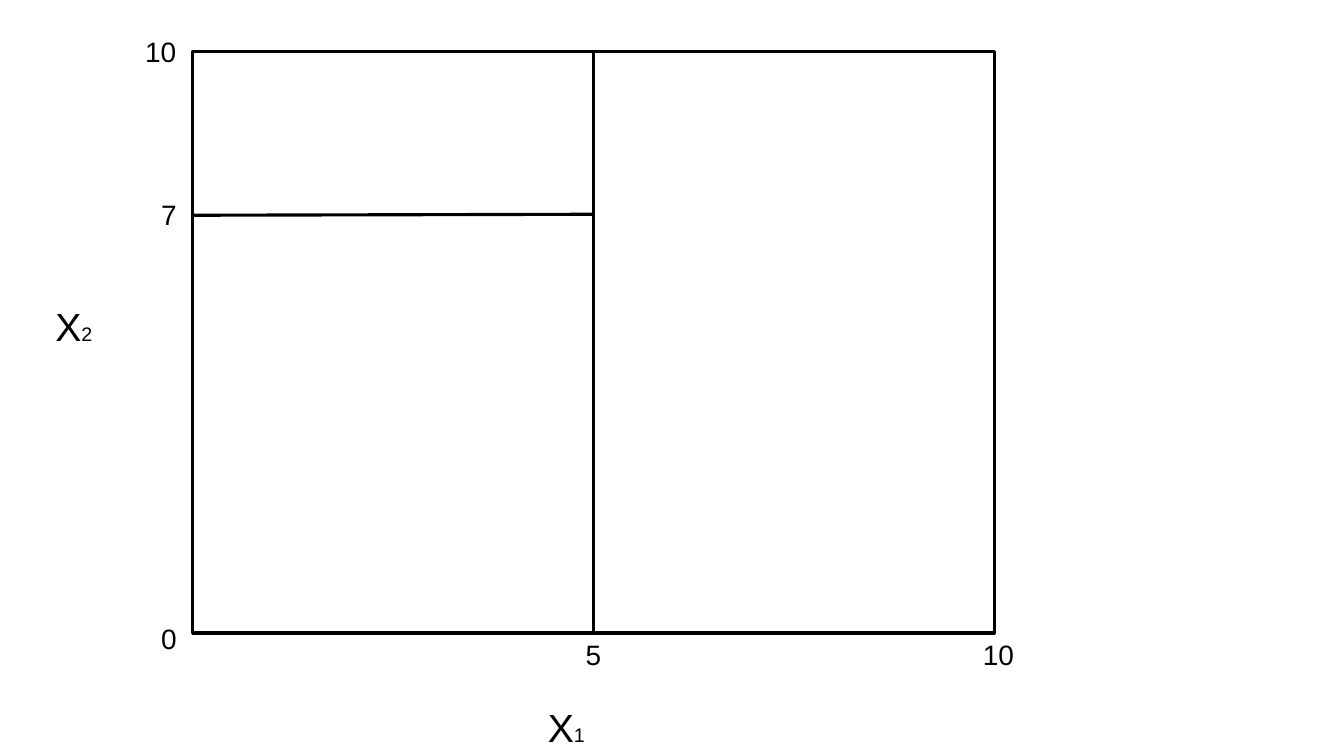
from lxml.etree import SubElement
from pptx import Presentation
from pptx.dml.color import RGBColor
from pptx.enum.shapes import MSO_CONNECTOR, MSO_SHAPE
from pptx.oxml.ns import qn
from pptx.util import Inches, Pt

COLORS = {"ink": "000000"}
FONT = "Arial"
BORDER = 2.25
TICK_SIZE = 20
NAME_SIZE = 28
INDEX_SIZE = 14
TICK_HEIGHT = 0.44
NAME_BOX = (0.58, 0.57)
TICK_WIDTHS = {1: 0.35, 2: 0.58}


def ink():
    return RGBColor.from_string(COLORS["ink"])


def style_line(line):
    line.color.rgb = ink()
    line.width = Pt(BORDER)


def add_label(slide, box, runs):
    label = slide.shapes.add_textbox(*map(Inches, box))
    frame = label.text_frame
    frame.word_wrap = True
    frame.margin_right = 0
    for text, size in runs:
        run = frame.paragraphs[0].add_run()
        run.text = text
        run.font.name = FONT
        run.font.size = Pt(size)
        run.font.color.rgb = ink()


def add_tick(slide, value, left, top):
    width = TICK_WIDTHS[len(value)]
    add_label(slide, (left, top, width, TICK_HEIGHT), [(value, TICK_SIZE)])


def add_axis_name(slide, index, left, top):
    add_label(slide, (left, top, *NAME_BOX), [("X", NAME_SIZE), (index, INDEX_SIZE)])


def add_split(slide, start, end):
    split = slide.shapes.add_connector(
        MSO_CONNECTOR.STRAIGHT, *map(Inches, (*start, *end)))
    style_line(split.line)
    SubElement(split._element.spPr, qn("a:effectLst"))


def draw_feature_space(slide, box):
    left, top, width, height = box
    bottom = top + height
    middle = left + width / 2
    threshold = top + height * 0.28

    space = slide.shapes.add_shape(MSO_SHAPE.RECTANGLE, *map(Inches, box))
    space.shadow.inherit = False
    space.fill.background()
    style_line(space.line)
    add_split(slide, (middle, top), (middle, bottom))
    add_split(slide, (middle, threshold), (left, threshold + 0.01))

    half_tick = TICK_HEIGHT / 2
    add_tick(slide, "10", left - 0.57, top - half_tick)
    add_tick(slide, "7", left - 0.41, threshold - half_tick)
    add_tick(slide, "0", left - 0.41, bottom - 0.16)
    add_tick(slide, "5", middle - TICK_WIDTHS[1] / 2, bottom)
    add_tick(slide, "10", left + width - 0.21, bottom)

    add_axis_name(slide, "2", left - 1.46, top + 2.44)
    add_axis_name(slide, "1", middle - 0.55, bottom + 0.65)


def main():
    deck = Presentation()
    deck.slide_width = Inches(13.33)
    deck.slide_height = Inches(7.5)
    slide = deck.slides.add_slide(deck.slide_layouts[6])
    draw_feature_space(slide, (1.91, 0.51, 7.95, 5.77))
    deck.save("out.pptx")


if __name__ == "__main__":
    main()
